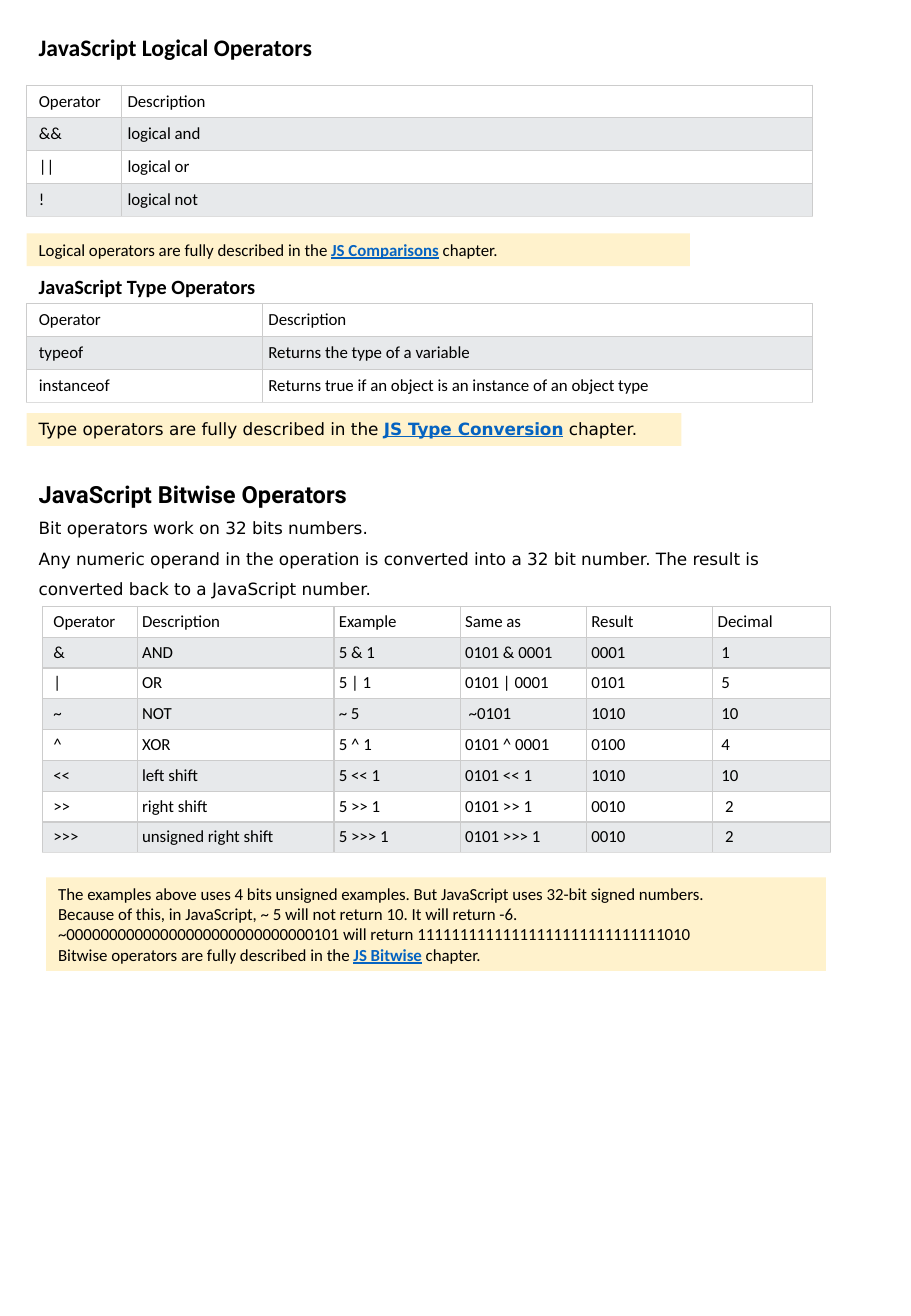
"""Build a one-page reference sheet of JavaScript logical, type and bitwise operators."""
from lxml.etree import SubElement
from pptx import Presentation
from pptx.dml.color import RGBColor
from pptx.enum.shapes import MSO_SHAPE as Shape
from pptx.enum.text import MSO_ANCHOR as Anchor, PP_ALIGN as Align
from pptx.oxml.ns import qn
from pptx.util import Inches, Pt


def color(code):
    return RGBColor.from_string(code)


class ReferenceSheet:
    INK, LINK, NOTE = "000000", "0563C1", "FFF2CC"
    STRIPES = ("FFFFFF", "E7E9EB")
    GRID, GRID_END = "CCCCCC", "DDDDDD"

    def __init__(self, slide):
        self.slide = slide

    def add_words(self, paragraph, words, font="Calibri", size=10, bold=False, ink=INK, underline=False):
        run = paragraph.add_run()
        run.text = words
        values = {"name": font, "size": Pt(size), "bold": bold, "underline": underline}
        for attribute, value in values.items():
            setattr(run.font, attribute, value)
        run.font.color.rgb = color(ink)

    def fill_frame(self, frame, lines, spacing=None):
        frame.word_wrap = True
        frame.vertical_anchor = Anchor.TOP
        for index, line in enumerate(lines):
            paragraph = frame.add_paragraph() if index else frame.paragraphs[0]
            paragraph.alignment = Align.LEFT
            if spacing:
                paragraph.line_spacing = spacing
            for words, style in line:
                self.add_words(paragraph, words, **style)

    def text(self, box, lines, spacing=None):
        frame = self.slide.shapes.add_textbox(*map(Inches, box)).text_frame
        self.fill_frame(frame, lines, spacing)

    def note(self, box, subject, chapter, font="Calibri", remarks=()):
        panel = self.slide.shapes.add_shape(Shape.RECTANGLE, *map(Inches, box))
        panel.shadow.inherit = False
        panel.fill.solid()
        panel.fill.fore_color.rgb = color(self.NOTE)
        panel.line.fill.background()
        plain = {"font": font}
        linked = {"font": font, "bold": True, "ink": self.LINK, "underline": True}
        reference = [(f"{subject} operators are fully described in the ", plain),
                     (chapter, linked), (" chapter.", plain)]
        self.fill_frame(panel.text_frame, [[(remark, plain)] for remark in remarks] + [reference])

    def border(self, cell, is_last):
        properties = cell._tc.get_or_add_tcPr()
        for side in "LRTB":
            edge = SubElement(properties, qn(f"a:ln{side}"), w=str(Pt(0.75)))
            paint = SubElement(edge, qn("a:solidFill"))
            code = self.GRID_END if is_last and side == "B" else self.GRID
            SubElement(paint, qn("a:srgbClr"), val=code)

    def table(self, box, widths, rows, inset=0.05, first_inset=0.1, indents=None):
        frame = self.slide.shapes.add_table(len(rows), len(widths), *map(Inches, box))
        grid = frame.table
        grid.first_row = grid.horz_banding = False
        for column, width in zip(grid.columns, widths):
            column.width = Inches(width)
        for r, entries in enumerate(rows):
            grid.rows[r].height = Inches(box[3] / len(rows))
            for c, entry in enumerate(entries):
                cell = grid.cell(r, c)
                left = (inset if c else first_inset) + (indents or {}).get((r, c), 0)
                margins = {"left": left, "right": inset, "top": inset, "bottom": inset}
                for side, margin in margins.items():
                    setattr(cell, f"margin_{side}", Inches(margin))
                self.border(cell, r == len(rows) - 1)
                cell.fill.solid()
                cell.fill.fore_color.rgb = color(self.STRIPES[r % 2])
                self.add_words(cell.text_frame.paragraphs[0], entry)


def main():
    deck = Presentation()
    deck.slide_width, deck.slide_height = Inches(7.5), Inches(10.83)
    sheet = ReferenceSheet(deck.slides.add_slide(deck.slide_layouts[6]))

    sheet.text((0.22, 0.22, 3.75, 0.94),
               [[("JavaScript Logical Operators", {"size": 14, "bold": True})]])
    sheet.table((0.22, 0.7, 6.47, 1.08), (0.78, 5.69), [
        ("Operator", "Description"),
        ("&&", "logical and"),
        ("||", "logical or"),
        ("!", "logical not"),
    ])
    sheet.note((0.22, 1.92, 5.46, 0.27), "Logical", "JS Comparisons")

    sheet.text((0.22, 2.21, 3.75, 0.91),
               [[("JavaScript Type Operators", {"size": 12, "bold": True})]])
    sheet.table((0.22, 2.5, 6.47, 0.81), (1.94, 4.53), [
        ("Operator", "Description"),
        ("typeof", "Returns the type of a variable"),
        ("instanceof", "Returns true if an object is an instance of an object type"),
    ])
    sheet.note((0.22, 3.4, 5.39, 0.27), "Type", "JS Type Conversion", "DejaVu Sans")

    body = {"font": "DejaVu Sans"}
    sheet.text((0.22, 3.78, 6.73, 1.21), [
        [("JavaScript Bitwise Operators", {"font": "Roboto", "size": 14, "bold": True})],
        [("Bit operators work on 32 bits numbers.", body)],
        [("Any numeric operand in the operation is converted into a 32 bit number. "
          "The result is converted back to a JavaScript number.", body)],
    ], spacing=1.5)
    bitwise_rows = [
        ("Operator", "Description", "Example", "Same as", "Result", "Decimal"),
        ("&", "AND", "5 & 1", "0101 & 0001", "0001", "1"),
        ("|", "OR", "5 | 1", "0101 | 0001", "0101", "5"),
        ("~", "NOT", "~ 5", "~0101", "1010", "10"),
        ("^", "XOR", "5 ^ 1", "0101 ^ 0001", "0100", "4"),
        ("<<", "left shift", "5 << 1", "0101 << 1", "1010", "10"),
        (">>", "right shift", "5 >> 1", "0101 >> 1", "0010", "2"),
        (">>>", "unsigned right shift", "5 >>> 1", "0101 >>> 1", "0010", "2"),
    ]
    indents = {(row, 5): 0.03 if row < 6 else 0.06 for row in range(1, len(bitwise_rows))}
    indents[3, 3] = 0.03
    sheet.table((0.35, 4.99, 6.47, 2.03), (0.78, 1.62, 1.04, 1.04, 1.04, 0.97),
                bitwise_rows, inset=0.04, first_inset=0.09, indents=indents)
    sheet.note((0.38, 7.22, 6.42, 0.77), "Bitwise", "JS Bitwise", remarks=(
        "The examples above uses 4 bits unsigned examples. But JavaScript uses 32-bit signed numbers.",
        "Because of this, in JavaScript, ~ 5 will not return 10. It will return -6.",
        "~00000000000000000000000000000101 will return 11111111111111111111111111111010",
    ))
    deck.save("out.pptx")


if __name__ == "__main__":
    main()
